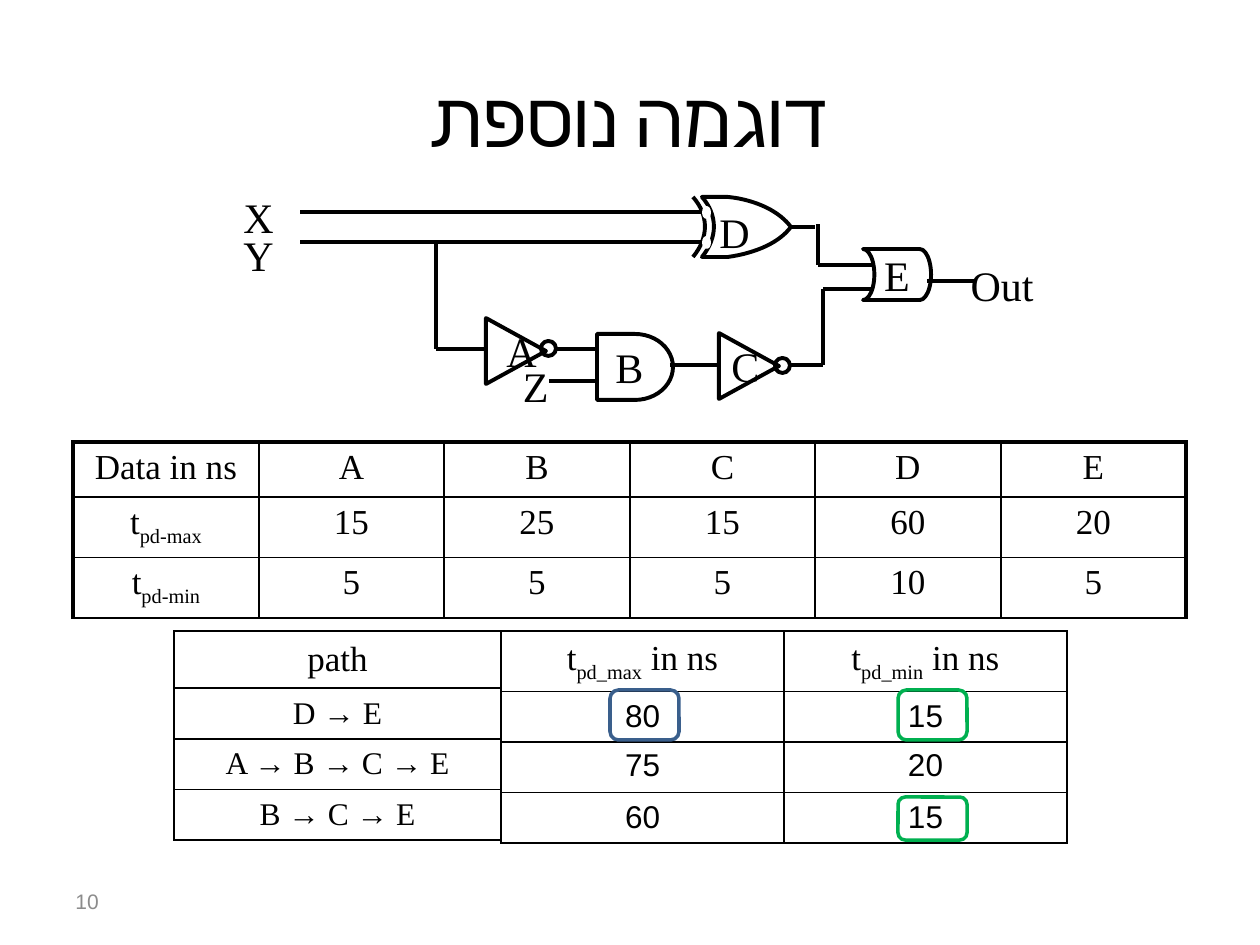
import dataclasses
import itertools
import typing

import pptx
import pptx.dml.color
import pptx.enum.shapes
import pptx.enum.text
import pptx.oxml.ns
import pptx.oxml.xmlchemy
import pptx.util
from lxml import etree

SCALE = 914400 / 126
BLACK = pptx.dml.color.RGBColor(0, 0, 0)
WHITE = pptx.dml.color.RGBColor(255, 255, 255)
GRAY = pptx.dml.color.RGBColor(0x8C, 0x8C, 0x8C)
BLUE = pptx.dml.color.RGBColor(0x3A, 0x5F, 0x8C)
GREEN = pptx.dml.color.RGBColor(0x00, 0xB0, 0x50)
SERIF = "Times New Roman"
SHAPE = pptx.enum.shapes.MSO_SHAPE
ALIGN = pptx.enum.text.PP_ALIGN
ANCHOR = pptx.enum.text.MSO_ANCHOR
TOP, MIDDLE = ANCHOR.TOP, ANCHOR.MIDDLE
Point = tuple[int, int]
Box = tuple[int, int, int, int]


class Wire(typing.NamedTuple):
    start: Point
    end: Point


class Label(typing.NamedTuple):
    text: str
    box: Box
    wrap: bool = False


@dataclasses.dataclass(frozen=True)
class Outline:
    preset: typing.Any
    box: Box
    text: str = ""
    rotation: int = 0
    body: dict[str, str] = dataclasses.field(default_factory=dict)
    color: pptx.dml.color.RGBColor = BLACK
    width: float = 2.25
    fill: pptx.dml.color.RGBColor | None = None


@dataclasses.dataclass(frozen=True)
class Grid:
    left: int
    top: int
    columns: list[int]
    rows: list[int]
    cells: list[list[str]]
    sizes: list[int]
    anchors: list[typing.Any]
    rtl_rows: int = 0
    outer: float = 1


UPRIGHT = {"vert": "eaVert"}
WIRES = [
    Wire((485, 349), (436, 349)), Wire((790, 365), (823, 365)),
    Wire((823, 365), (823, 289)), Wire((871, 289), (823, 289)),
    Wire((818, 265), (818, 224)), Wire((872, 265), (818, 265)),
    Wire((927, 281), (975, 281)), Wire((678, 212), (746, 212)),
    Wire((678, 242), (746, 242)), Wire((815, 227), (746, 227)),
    Wire((670, 365), (718, 365)), Wire((557, 349), (597, 349)),
    Wire((684, 242), (300, 242)), Wire((436, 349), (436, 242)),
    Wire((684, 212), (638, 212)), Wire((669, 212), (300, 212)),
    Wire((549, 381), (597, 381)),
]
XOR_BODY = [
    [(791, 227), (780, 242), (757, 253), (728, 257)],
    [(702, 257), (718, 238), (718, 215), (702, 197)],
    [(728, 197), (757, 200), (780, 212), (791, 227)],
]
XOR_BACK = [[(693, 257), (709, 238), (709, 215), (693, 197)]]
OUTLINES = [
    Outline(SHAPE.FLOWCHART_DELAY, (597, 334, 76, 66), "B"),
    Outline(SHAPE.FLOWCHART_STORED_DATA, (863, 249, 68, 51), "E", 180, {"rot": "10800000"}),
    Outline(SHAPE.FLOWCHART_MERGE, (716, 336, 66, 60), "C", 270, UPRIGHT),
    Outline(SHAPE.FLOWCHART_MERGE, (483, 321, 66, 60), " A", 270, UPRIGHT),
    Outline(SHAPE.OVAL, (775, 358, 15, 15)),
    Outline(SHAPE.OVAL, (541, 341, 15, 15)),
    *[Outline(SHAPE.OVAL, (704, top, 5, 9), color=WHITE, fill=WHITE) for top in (208, 238)],
]
HIGHLIGHTS = [
    Outline(SHAPE.ROUNDED_RECTANGLE, (610, 690, 69, 50), color=BLUE, width=2),
    Outline(SHAPE.ROUNDED_RECTANGLE, (898, 690, 69, 50), color=GREEN, width=2),
    Outline(SHAPE.ROUNDED_RECTANGLE, (898, 797, 69, 43), color=GREEN, width=2),
]
LABELS = [
    Label("D", (719, 200, 43, 47)), Label("Y", (243, 223, 43, 47)),
    Label("X", (243, 185, 43, 47)), Label("Z", (522, 354, 39, 47)),
    Label("Out", (958, 253, 88, 47), True),
]
GRIDS = [
    Grid(501, 631, [283] * 2, [59, 50, 50, 50],
         [["t|pd_max| in ns", "t|pd_min| in ns"], ["80", "15"], ["75", "20"], ["60", "15"]],
         [20, 18, 18, 18], [MIDDLE, MIDDLE, TOP, MIDDLE], rtl_rows=4),
    Grid(73, 442, [185.5] * 6 and [186, 185] * 3, [55, 57, 57],
         [["Data in ns", "A", "B", "C", "D", "E"],
          ["t|pd-max", "15", "25", "15", "60", "20"],
          ["t|pd-min", "5", "5", "5", "10", "5"]],
         [20] * 3, [TOP] * 3, outer=2.25),
    Grid(174, 631, [327], [57, 51, 50, 50],
         [["path"], ["D → E"], ["A → B → C → E"], ["B → C → E"]],
         [20, 18, 18, 18], [MIDDLE] * 4, rtl_rows=1),
]


def px(length: float) -> int:
    return round(length * SCALE)


def apply(target: typing.Any, values: dict[str, typing.Any]) -> None:
    for name, value in values.items():
        setattr(target, name, value)


def write(frame, text: str, size: int, align=ALIGN.CENTER, font: str = SERIF,
          color=BLACK, rtl: bool = True, complex_font: str = "Arial") -> None:
    paragraph = frame.paragraphs[0]
    paragraph.alignment = align
    if rtl:
        paragraph._p.get_or_add_pPr().set("rtl", "1")
    for index, part in enumerate(text.split("|")):
        run = paragraph.add_run()
        run.text = part
        apply(run.font, {"size": pptx.util.Pt(size), "name": font})
        run.font.color.rgb = color
        properties = run.font._element
        etree.SubElement(properties, pptx.oxml.ns.qn("a:cs"), typeface=complex_font)
        if index % 2:
            properties.set("baseline", "-25000")


def draw_wire(shapes, wire: Wire) -> None:
    connector = shapes.add_connector(
        pptx.enum.shapes.MSO_CONNECTOR.STRAIGHT, *map(px, wire.start + wire.end))
    connector.line.color.rgb = BLACK
    connector.line.width = pptx.util.Pt(2.25)
    etree.SubElement(connector._element.spPr, pptx.oxml.ns.qn("a:effectLst"))


def style(shape, color, width: float, fill=None) -> None:
    shape.shadow.inherit = False
    shape.line.color.rgb = color
    shape.line.width = pptx.util.Pt(width)
    if fill is None:
        shape.fill.background()
    else:
        shape.fill.solid()
        shape.fill.fore_color.rgb = fill


def curve_points(curve: list[Point], steps: int = 16) -> list[tuple[float, float]]:
    weights = [((1 - t) ** 3, 3 * t * (1 - t) ** 2, 3 * t * t * (1 - t), t ** 3)
               for t in (step / steps for step in range(steps + 1))]
    return [tuple(sum(w * point[axis] for w, point in zip(row, curve)) for axis in (0, 1))
            for row in weights]


def draw_curves(shapes, curves: list[list[Point]], close: bool, fill=None) -> None:
    points = list(itertools.chain.from_iterable(map(curve_points, curves)))
    builder = shapes.build_freeform(px(points[0][0]), px(points[0][1]))
    builder.add_line_segments([(px(x), px(y)) for x, y in points[1:]], close=close)
    style(builder.convert_to_shape(), BLACK, 2.25, fill)


def draw_outline(shapes, outline: Outline) -> None:
    shape = shapes.add_shape(outline.preset, *map(px, outline.box))
    shape.rotation = outline.rotation
    style(shape, outline.color, outline.width, outline.fill)
    if outline.text:
        frame = shape.text_frame
        apply(frame, {"word_wrap": False, "vertical_anchor": MIDDLE})
        for name, value in outline.body.items():
            frame._txBody.bodyPr.set(name, value)
        write(frame, outline.text, 24)


def draw_label(shapes, label: Label) -> None:
    frame = shapes.add_textbox(*map(px, label.box)).text_frame
    apply(frame, {"word_wrap": label.wrap,
                  "auto_size": pptx.enum.text.MSO_AUTO_SIZE.SHAPE_TO_FIT_TEXT})
    write(frame, label.text, 24, ALIGN.RIGHT)


def set_borders(cell, widths: dict[str, float]) -> None:
    properties = cell._tc.get_or_add_tcPr()
    for index, (side, width) in enumerate(widths.items()):
        line = etree.Element(pptx.oxml.ns.qn(f"a:ln{side}"), w=str(pptx.util.Pt(width)))
        fill = etree.SubElement(line, pptx.oxml.ns.qn("a:solidFill"))
        etree.SubElement(fill, pptx.oxml.ns.qn("a:srgbClr"), val=str(BLACK))
        properties.insert(index, line)


def draw_grid(shapes, grid: Grid) -> None:
    table = shapes.add_table(
        len(grid.rows), len(grid.columns), px(grid.left), px(grid.top),
        px(sum(grid.columns)), px(sum(grid.rows))).table
    apply(table, {"first_row": False, "horz_banding": False})
    for column, width in zip(table.columns, grid.columns):
        column.width = px(width)
    last = len(grid.columns) - 1
    for r, (row, height, texts) in enumerate(zip(table.rows, grid.rows, grid.cells)):
        row.height = px(height)
        for c, (cell, text) in enumerate(zip(row.cells, texts)):
            cell.fill.background()
            cell.vertical_anchor = grid.anchors[r]
            write(cell.text_frame, text, grid.sizes[r], rtl=r < grid.rtl_rows)
            set_borders(cell, {"L": grid.outer if c == 0 else 1,
                               "R": grid.outer if c == last else 1,
                               "T": grid.outer if r == 0 else 1, "B": 1})


def main() -> None:
    presentation = pptx.Presentation()
    apply(presentation, {"slide_width": px(1260), "slide_height": px(945)})
    slide = presentation.slides.add_slide(presentation.slide_layouts[5])
    shapes = slide.shapes
    apply(shapes.title, {"left": px(63), "top": px(38), "width": px(1134), "height": px(158)})
    shapes.title.text_frame.vertical_anchor = MIDDLE
    write(shapes.title.text_frame, "דוגמה נוספת", 44, font="Calibri", complex_font="Calibri")
    for wire in WIRES:
        draw_wire(shapes, wire)
    draw_curves(shapes, XOR_BODY, True, WHITE)
    draw_curves(shapes, XOR_BACK, False)
    for draw, items in ((draw_outline, OUTLINES), (draw_label, LABELS),
                        (draw_grid, GRIDS), (draw_outline, HIGHLIGHTS)):
        for item in items:
            draw(shapes, item)
    number = shapes.add_textbox(*map(px, (63, 876, 294, 50))).text_frame
    apply(number, {"word_wrap": True, "vertical_anchor": MIDDLE})
    write(number, "10", 12, ALIGN.LEFT, "Calibri", GRAY)
    presentation.save("out.pptx")


if __name__ == "__main__":
    main()
